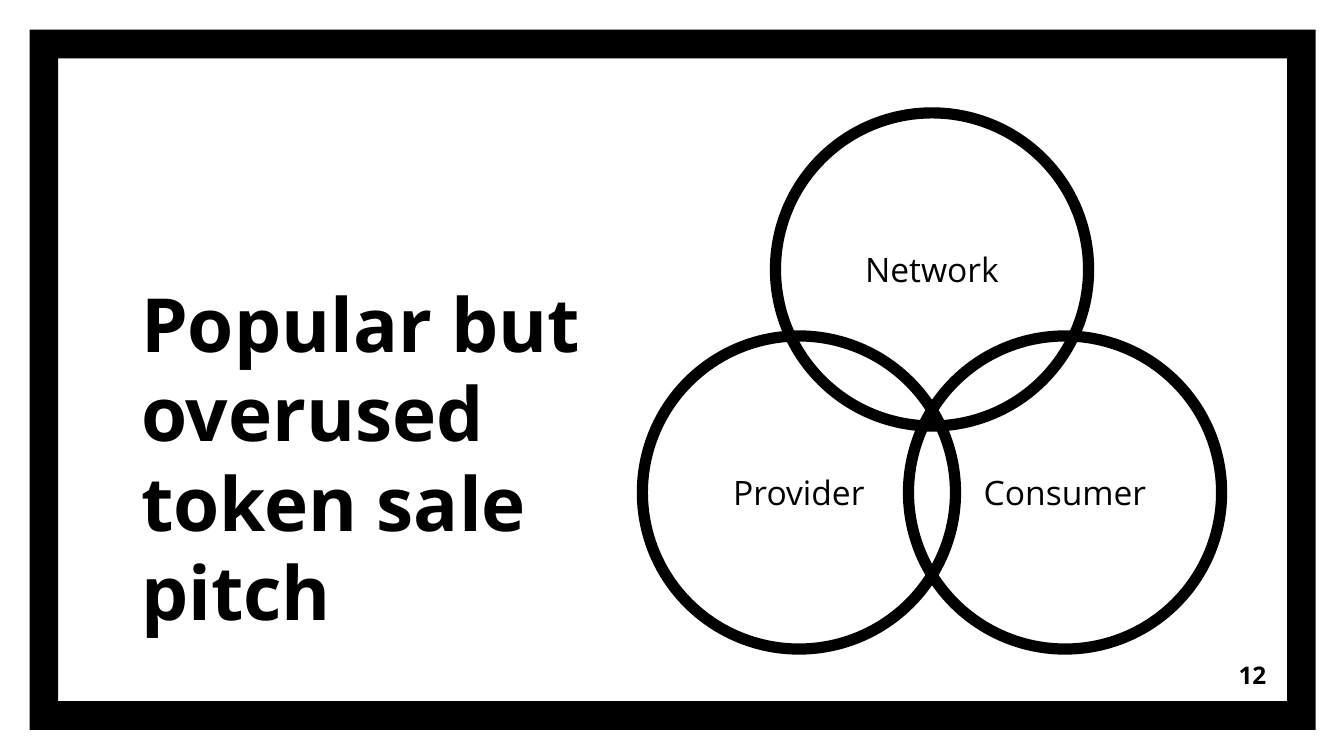
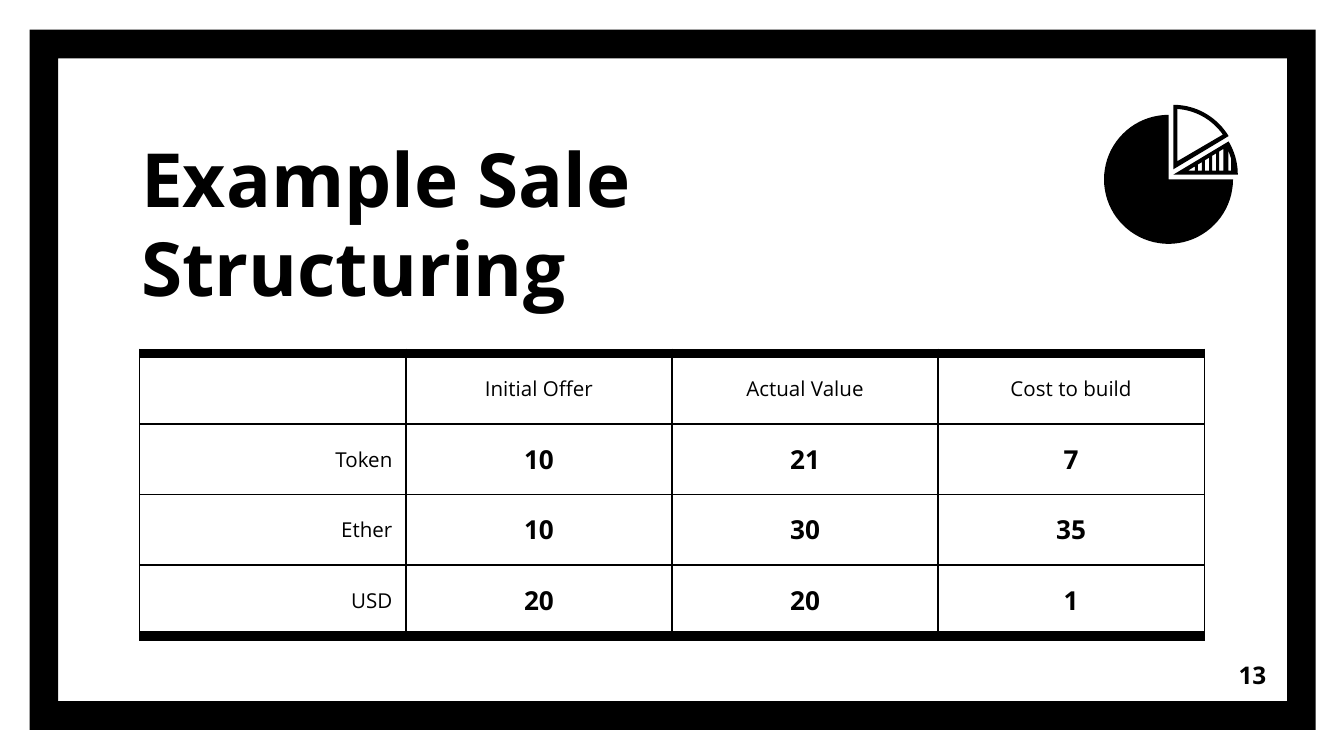
from math import cos, radians, sin
from lxml.etree import SubElement
from pptx import Presentation
from pptx.dml.color import RGBColor
from pptx.enum.shapes import MSO_SHAPE
from pptx.enum.text import MSO_ANCHOR, MSO_AUTO_SIZE, PP_ALIGN
from pptx.oxml.ns import qn
from pptx.util import Inches, Pt

# Content
VENN = {
    "title": "Popular but overused token sale pitch",
    "number": "12",
    "circles": [("Network", 0.5, 0), ("Provider", 0, 1), ("Consumer", 1, 1)],
}
SALE = {
    "title": "Example Sale Structuring",
    "number": "13",
    "rows": [
        ("", "Initial Offer", "Actual Value", "Cost to build"),
        ("Token", "10", "21", "7"),
        ("Ether", "10", "30", "35"),
        ("USD", "20", "20", "1"),
    ],
}

# Shared look, lengths in inches
BLACK = RGBColor(0, 0, 0)
WHITE = RGBColor(255, 255, 255)
FONT = "Open Sans"
WIDTH = 10
HEIGHT = WIDTH * 9 / 16
FRAME_BOX = (0.22, 0.22, 9.57, 5.21)
FRAME_SHARE = 0.041
NUMBER_BOX = (8.92, 4.81, 0.6, 0.43)
TITLE_LEFT, TITLE_HEIGHT = 0.95, 1.49
HEAVY, THIN = 6, 0.75


def inches(*lengths):
    return [Inches(length) for length in lengths]


def write(frame, text, size=18, bold=False, align=PP_ALIGN.LEFT,
          anchor=MSO_ANCHOR.MIDDLE):
    """Put one formatted paragraph in a text frame."""
    frame.word_wrap = True
    frame.auto_size = MSO_AUTO_SIZE.NONE
    frame.vertical_anchor = anchor
    frame.margin_left = frame.margin_right = Inches(0.1)
    frame.margin_top = frame.margin_bottom = Inches(0.1)
    write_paragraph(frame.paragraphs[0], text, size, bold, align)


def write_paragraph(para, text, size, bold, align):
    para.alignment = align
    span = para.add_run()
    span.text = text
    span.font.name = FONT
    span.font.size = Pt(size)
    span.font.bold = bold
    span.font.color.rgb = BLACK


def paint_black(shape):
    shape.shadow.inherit = False
    shape.fill.solid()
    shape.fill.fore_color.rgb = BLACK
    shape.line.fill.background()


def add_page(content, title_top, title_width):
    """Add a slide with its title and page number."""
    page = deck.slides.add_slide(layout)
    title = page.shapes.title
    title.left, title.top, title.width, title.height = inches(
        TITLE_LEFT, title_top, title_width, TITLE_HEIGHT)
    write(title.text_frame, content["title"], size=40, bold=True,
          anchor=MSO_ANCHOR.BOTTOM)
    number = page.shapes.add_textbox(*inches(*NUMBER_BOX))
    write(number.text_frame, content["number"], size=13, bold=True,
          align=PP_ALIGN.RIGHT)
    return page


def set_borders(cell, **widths):
    """Draw the cell's left, right, top and bottom borders."""
    properties = cell._tc.get_or_add_tcPr()
    for position, side in enumerate(("left", "right", "top", "bottom")):
        line = properties.makeelement(
            qn("a:ln" + side[0].upper()), {"w": str(Pt(widths.get(side, THIN)))})
        fill = SubElement(line, qn("a:solidFill"))
        SubElement(fill, qn("a:srgbClr"), val=str(BLACK))
        properties.insert(position, line)


def arc(centre, radius, start, end, steps=24):
    """Points on an arc; degrees run clockwise from the right."""
    angles = [radians(start + (end - start) * step / steps)
              for step in range(steps + 1)]
    return [(centre[0] + radius * cos(angle), centre[1] + radius * sin(angle))
            for angle in angles]


def add_outline(page, *contours):
    """Add one black shape; contours after the first cut holes."""
    first, *holes = [[inches(*point) for point in contour]
                     for contour in contours]
    builder = page.shapes.build_freeform(*first[0])
    builder.add_line_segments(first[1:])
    for hole in holes:
        builder.move_to(*hole[0])
        builder.add_line_segments(hole[1:])
    paint_black(builder.convert_to_shape())


def add_pie_icon(page):
    # Three-quarter disc
    centre = (8.695, 1.335)
    add_outline(page, [centre, *arc(centre, 0.48, 0, 270, 60)])

    # Striped slice
    tip, radius, split = (8.73, 1.3), 0.48, -31
    base, start, pitch, gap, slope = 1.27, 8.84, 0.053, 0.03, 0.615
    stripes = []
    for index in range(5):
        right = start + 0.05 + index * pitch
        left = start if index == 0 else right - gap
        tops = [(x, base - (x - start) * slope) for x in (left, right)]
        stripes.append([*tops, (right, base), (left, base)])
    stripes.append([(9.14, 1.12), (9.15, 1.15), (9.16, 1.18),
                    (9.16, base), (9.14, base)])
    add_outline(page, [tip, *arc(tip, radius, split, 0)], *stripes)

    # Hollow slice
    tip = (8.73, 1.26)
    add_outline(page, [tip, *arc(tip, radius, -90, split)],
                [(8.76, 1.2), *arc(tip, 0.45, -86, -35)])


deck = Presentation()
deck.slide_width, deck.slide_height = inches(WIDTH, HEIGHT)
layout = deck.slide_layouts[5]
layout.background.fill.solid()
layout.background.fill.fore_color.rgb = WHITE

# Venn slide: circles sit on a two-column, two-row grid
page = add_page(VENN, title_top=3.34, title_width=3.52)
left, top, diameter, column_step, row_step = 4.78, 0.84, 2.33, 1.98, 1.66
for label, column, row in VENN["circles"]:
    circle = page.shapes.add_shape(MSO_SHAPE.OVAL, *inches(
        left + column * column_step, top + row * row_step, diameter, diameter))
    circle.shadow.inherit = False
    circle.fill.background()
    circle.line.color.rgb = BLACK
    circle.line.width = Pt(HEAVY)
    write(circle.text_frame, label, align=PP_ALIGN.CENTER)

# Shared frame: drawn once, then placed on the layout
border = page.shapes.add_shape(MSO_SHAPE.FRAME, *inches(*FRAME_BOX))
border.adjustments[0] = FRAME_SHARE
paint_black(border)
layout.shapes._spTree.insert(2, border._element)

# Table slide
page = add_page(SALE, title_top=0.93, title_width=5.57)
rows = SALE["rows"]
row_count, column_count = len(rows), len(rows[0])
table_width, table_height = 7.92, 2.1
table = page.shapes.add_table(row_count, column_count, *inches(
    1.04, 2.63, table_width, table_height)).table
table.first_row = table.horz_banding = False
for r, values in enumerate(rows):
    for c, value in enumerate(values):
        cell = table.cell(r, c)
        cell.fill.background()
        cell.vertical_anchor = MSO_ANCHOR.MIDDLE
        cell.margin_left = cell.margin_right = Inches(0.1)
        cell.margin_top = cell.margin_bottom = Inches(0.07)
        is_figure = r > 0 and c > 0
        if value:
            write_paragraph(cell.text_frame.paragraphs[0], value,
                            size=14 if is_figure else 11, bold=is_figure,
                            align=PP_ALIGN.CENTER if c else PP_ALIGN.RIGHT)
        set_borders(cell, top=THIN if r else HEAVY,
                    bottom=HEAVY if r == row_count - 1 else THIN)
add_pie_icon(page)

deck.save("out.pptx")
